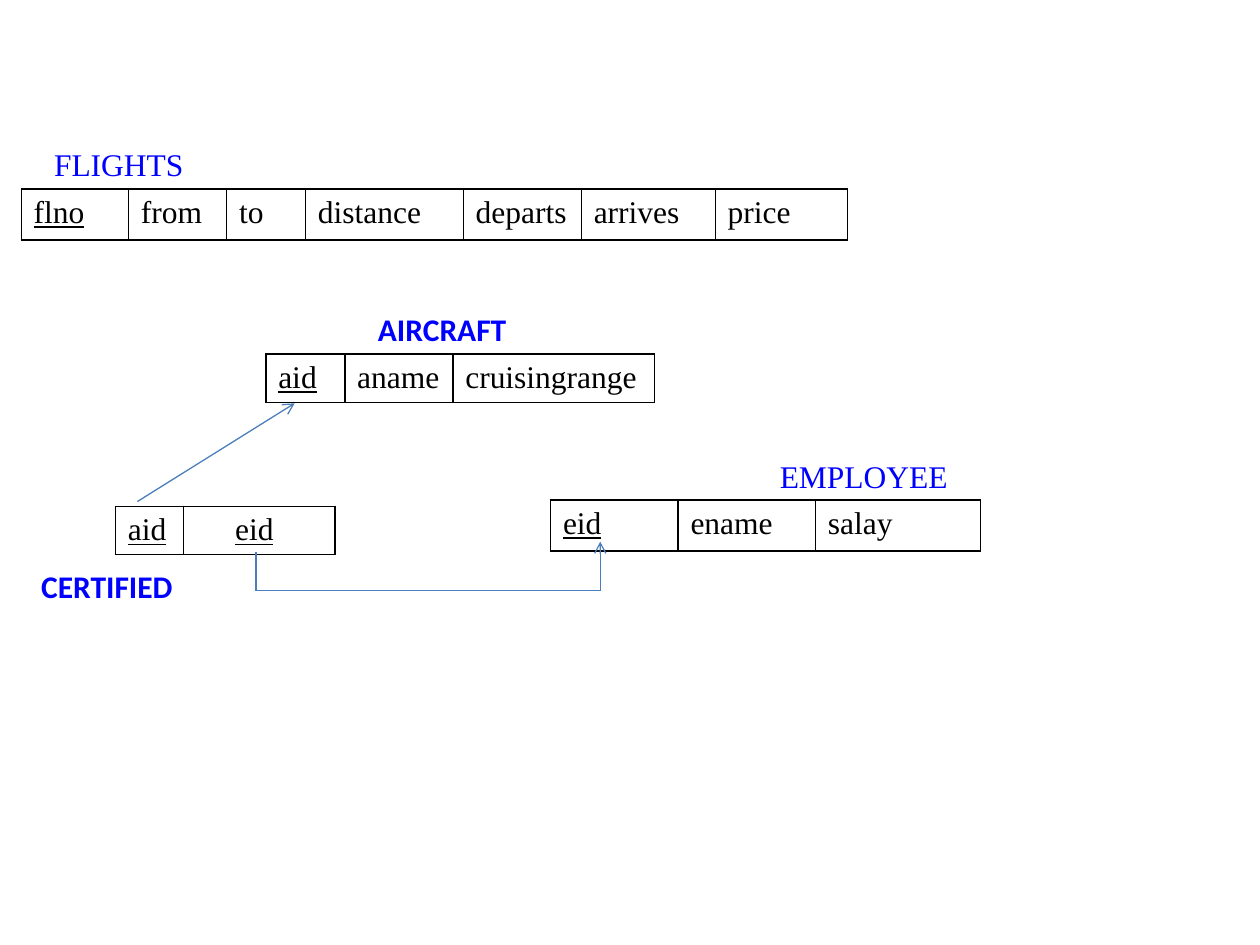
from lxml.etree import SubElement
from pptx import Presentation
from pptx.dml.color import RGBColor
from pptx.enum.shapes import MSO_CONNECTOR as CONN
from pptx.enum.text import MSO_AUTO_SIZE as FIT, PP_ALIGN as AL
from pptx.oxml import parse_xml
from pptx.oxml.ns import nsdecls, qn
from pptx.util import Cm, Pt


def color(value):
    return RGBColor.from_string(value)


class Schema:
    serif, sans = "Times New Roman", "Calibri"
    ink, label_ink, arrow_ink = "000000", "0000FF", "4B7EBC"
    size = Pt(18)

    def __init__(self, slide):
        self.s = slide

    def style(self, p, font, ink):
        p.font.name = font
        p.font.size = self.size
        p.font.color.rgb = color(ink)

    def border(self, cell):
        tc_pr = cell._tc.get_or_add_tcPr()
        for i, side in enumerate(("lnL", "lnR", "lnT", "lnB")):
            tc_pr.insert(i, parse_xml(
                f'<a:{side} {nsdecls("a")} w="12700"><a:solidFill>'
                f'<a:srgbClr val="{self.ink}"/></a:solidFill></a:{side}>'))

    def relation(self, x, y, height, columns, keys, indents={}):
        total = sum(width for _, width in columns)
        shape = self.s.shapes.add_table(1, len(columns), Cm(x), Cm(y), Cm(total), Cm(height))
        table = shape.table
        table.first_row = table.horz_banding = False
        for i, (name, width) in enumerate(columns):
            table.columns[i].width = Cm(width)
            cell = table.cell(0, i)
            cell.fill.background()
            self.border(cell)
            cell.margin_left = Cm(indents.get(name, 0.25))
            p = cell.text_frame.paragraphs[0]
            p.text = name
            self.style(p, self.serif, self.ink)
            p.font.underline = name in keys
            p.runs[0].font.underline = name in keys

    def label(self, text, x, y, width, font=serif, bold=False, align=AL.LEFT):
        tf = self.s.shapes.add_textbox(Cm(x), Cm(y), Cm(width), Cm(1.03)).text_frame
        tf.word_wrap = False
        tf.auto_size = FIT.SHAPE_TO_FIT_TEXT
        p = tf.paragraphs[0]
        p.text = text
        p.alignment = align
        self.style(p, font, self.label_ink)
        p.font.bold = bold

    def line(self, start, end, arrow=False):
        points = [Cm(v) for v in (*start, *end)]
        c = self.s.shapes.add_connector(CONN.STRAIGHT, *points)
        c.line.color.rgb = color(self.arrow_ink)
        c.line.width = Pt(0.75)
        if arrow:
            SubElement(c.line._get_or_add_ln(), qn("a:tailEnd"), type="arrow")
        SubElement(c._element.spPr, qn("a:effectLst"))


prs = Presentation()
prs.slide_width, prs.slide_height = Cm(25.4), Cm(19.05)
schema = Schema(prs.slides.add_slide(prs.slide_layouts[6]))

schema.relation(0.43, 3.81, 1.03, [
    ("flno", 2.16), ("from", 1.98), ("to", 1.59), ("distance", 3.18),
    ("departs", 2.38), ("arrives", 2.7), ("price", 2.66)], {"flno"})
schema.relation(5.36, 7.14, 0.97, [
    ("aid", 1.59), ("aname", 2.18), ("cruisingrange", 4.06)], {"aid"})
schema.relation(2.33, 10.21, 0.97, [
    ("aid", 1.37), ("eid", 3.05)], {"aid", "eid"}, {"eid": 1.04})
schema.relation(11.1, 10.08, 1.03, [
    ("eid", 2.57), ("ename", 2.77), ("salay", 3.33)], {"eid"})

schema.label("FLIGHTS", 0.84, 2.79, 3.15)
schema.label("AIRCRAFT", 7.34, 6.12, 3.12, Schema.sans, True, AL.RIGHT)
schema.label("CERTIFIED", 0.58, 11.3, 3.18, Schema.sans, True)
schema.label("EMPLOYEE", 15.47, 9.09, 3.94)

schema.line((2.77, 10.11), (5.94, 8.13), True)
eid_start, eid_corner, employee_corner = (5.16, 11.13), (5.16, 11.91), (12.1, 11.91)
schema.line(eid_start, eid_corner)
schema.line(eid_corner, employee_corner)
schema.line(employee_corner, (12.1, 10.92), True)

prs.save("out.pptx")
